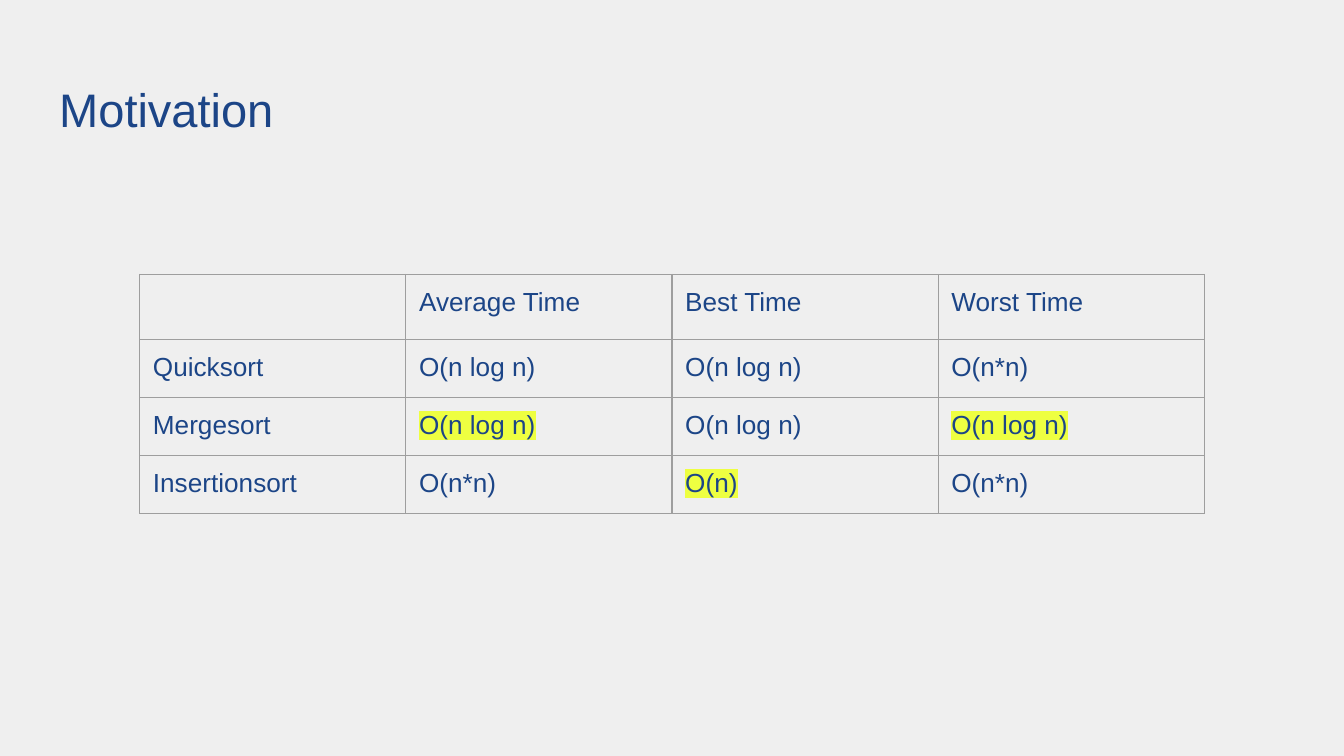
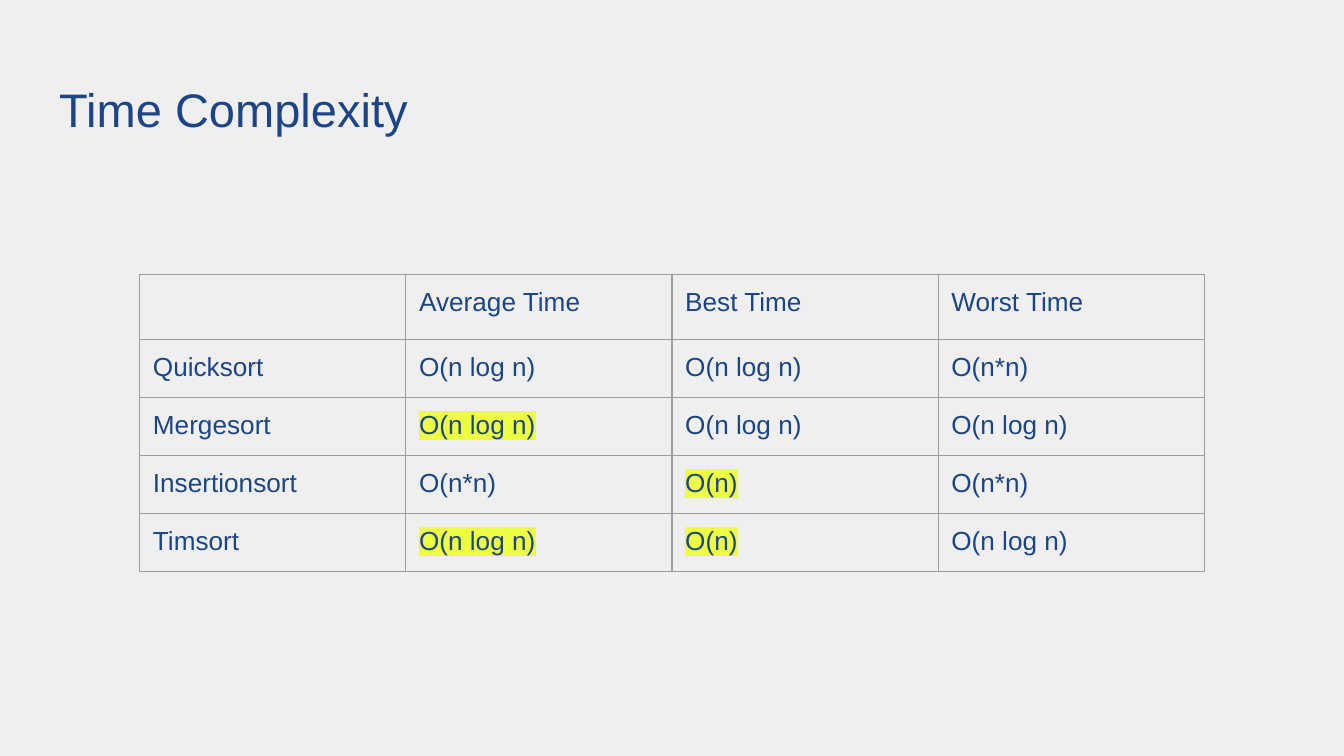
from dataclasses import dataclass

from lxml.etree import SubElement
from pptx import Presentation
from pptx.dml.color import RGBColor as Rgb
from pptx.enum.text import MSO_ANCHOR as Anchor
from pptx.oxml import parse_xml
from pptx.oxml.ns import nsdecls, qn
from pptx.util import Cm, Pt


@dataclass(frozen=True)
class Theme:
    font: str = "Arial"
    background: str = "EFEFEF"
    ink: str = "1C4587"
    grid: str = "9E9E9E"
    marker: str = "EEFF41"
    title_size: float = 25.2
    cell_size: float = 14
    grid_width: float = 0.75
    inset: float = 0.25


THEME = Theme()
BLANK_LAYOUT = 6
COLUMN_WIDTH = 5.03
HEADER_HEIGHT = 1.23
ROW_HEIGHT = 1.06

HEADER = ("", "Average Time", "Best Time", "Worst Time")
AVERAGE, BEST, WORST = HEADER[1:]
CLASSIC_SORTS = [
    ("Quicksort", "O(n log n)", "O(n log n)", "O(n*n)"),
    ("Mergesort", "O(n log n)", "O(n log n)", "O(n log n)"),
    ("Insertionsort", "O(n*n)", "O(n)", "O(n*n)"),
]
TIMSORT = ("Timsort", "O(n log n)", "O(n)", "O(n log n)")


def set_insets(box):
    """Give a cell or a text frame the shared margin on all sides."""
    box.margin_left = box.margin_right = Cm(THEME.inset)
    box.margin_top = box.margin_bottom = Cm(THEME.inset)


def style_run(run, size):
    run.font.name = THEME.font
    run.font.size = Pt(size)
    run.font.color.rgb = Rgb.from_string(THEME.ink)


def highlight(run):
    """Mark a styled run; the highlight must follow its colour fill."""
    marker = parse_xml(
        f'<a:highlight {nsdecls("a")}><a:srgbClr val="{THEME.marker}"/></a:highlight>'
    )
    run.font._element.find(qn("a:solidFill")).addnext(marker)


def draw_borders(cell):
    properties = cell._tc.get_or_add_tcPr()
    for side in ("lnL", "lnR", "lnT", "lnB"):
        properties.append(parse_xml(
            f'<a:{side} {nsdecls("a")} w="{Pt(THEME.grid_width)}">'
            f'<a:solidFill><a:srgbClr val="{THEME.grid}"/></a:solidFill></a:{side}>'
        ))


def fill_cell(cell, text, marked):
    set_insets(cell)
    draw_borders(cell)
    cell.fill.background()
    paragraph = cell.text_frame.paragraphs[0]
    if not text:
        # An empty cell takes its line height from the end-of-paragraph size.
        SubElement(paragraph._p, qn("a:endParaRPr"), sz=str(THEME.cell_size * 100))
        return
    paragraph.text = text
    run = paragraph.runs[0]
    style_run(run, THEME.cell_size)
    if marked:
        highlight(run)


def add_title(slide, text):
    title = slide.shapes.add_textbox(Cm(0.87), Cm(1.24), Cm(23.67), Cm(1.6))
    frame = title.text_frame
    frame.word_wrap = True
    frame.vertical_anchor = Anchor.BOTTOM
    set_insets(frame)
    frame.text = text
    style_run(frame.paragraphs[0].runs[0], THEME.title_size)


def add_complexity_table(slide, sorts, best_results):
    """Compare the sorts; best_results holds the (sort, case) pairs to mark."""
    rows = [HEADER, *sorts]
    table = slide.shapes.add_table(
        len(rows), len(HEADER), Cm(2.64), Cm(5.19),
        Cm(COLUMN_WIDTH * len(HEADER)),
        Cm(HEADER_HEIGHT + ROW_HEIGHT * len(sorts)),
    ).table
    table.first_row = table.horz_banding = False
    for column in table.columns:
        column.width = Cm(COLUMN_WIDTH)
    for r, values in enumerate(rows):
        table.rows[r].height = Cm(ROW_HEIGHT if r else HEADER_HEIGHT)
        for c, value in enumerate(values):
            fill_cell(table.cell(r, c), value, (values[0], HEADER[c]) in best_results)


def add_comparison_slide(deck, title, sorts, best_results):
    slide = deck.slides.add_slide(deck.slide_layouts[BLANK_LAYOUT])
    add_title(slide, title)
    add_complexity_table(slide, sorts, best_results)


def main():
    deck = Presentation()
    deck.slide_width, deck.slide_height = Cm(25.4), Cm(14.29)
    backdrop = deck.slide_master.background.fill
    backdrop.solid()
    backdrop.fore_color.rgb = Rgb.from_string(THEME.background)

    shared_best = {("Mergesort", AVERAGE), ("Insertionsort", BEST)}
    add_comparison_slide(deck, "Motivation", CLASSIC_SORTS,
                         shared_best | {("Mergesort", WORST)})
    add_comparison_slide(deck, "Time Complexity", [*CLASSIC_SORTS, TIMSORT],
                         shared_best | {("Timsort", AVERAGE), ("Timsort", BEST)})
    deck.save("out.pptx")


if __name__ == "__main__":
    main()
